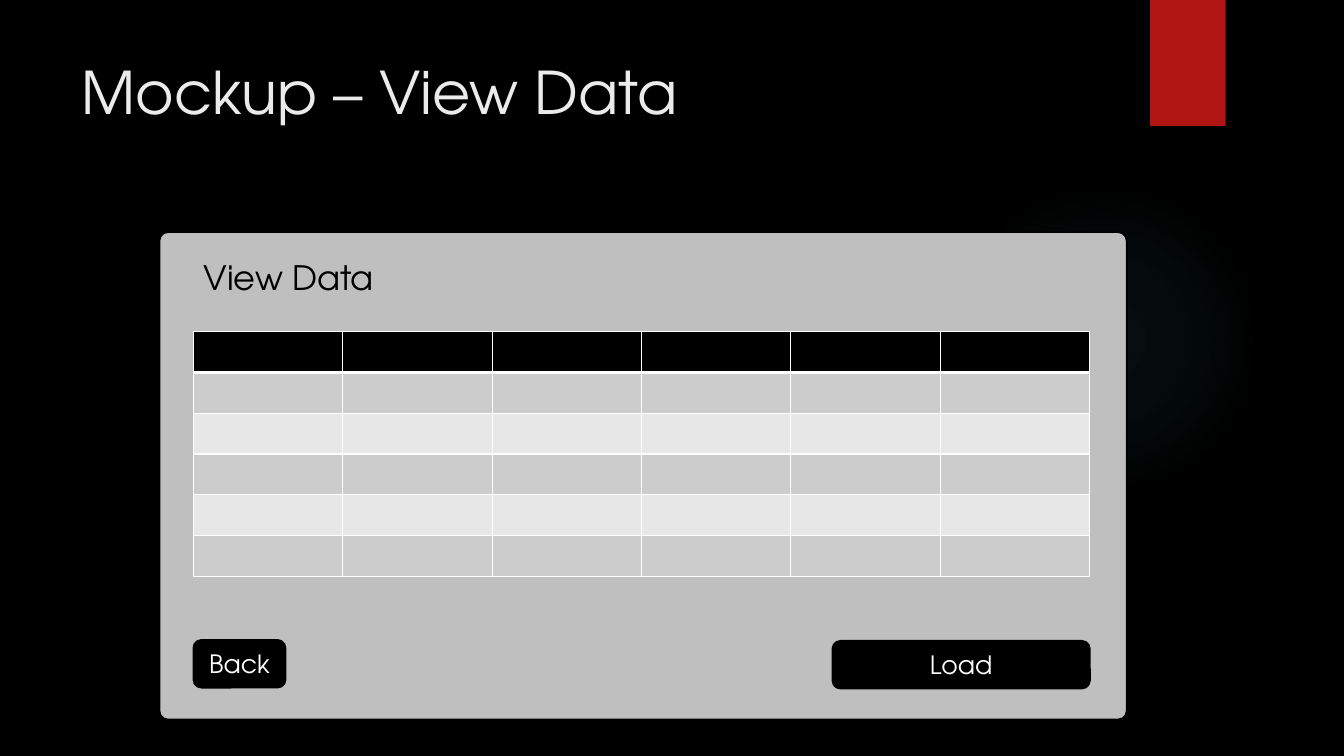
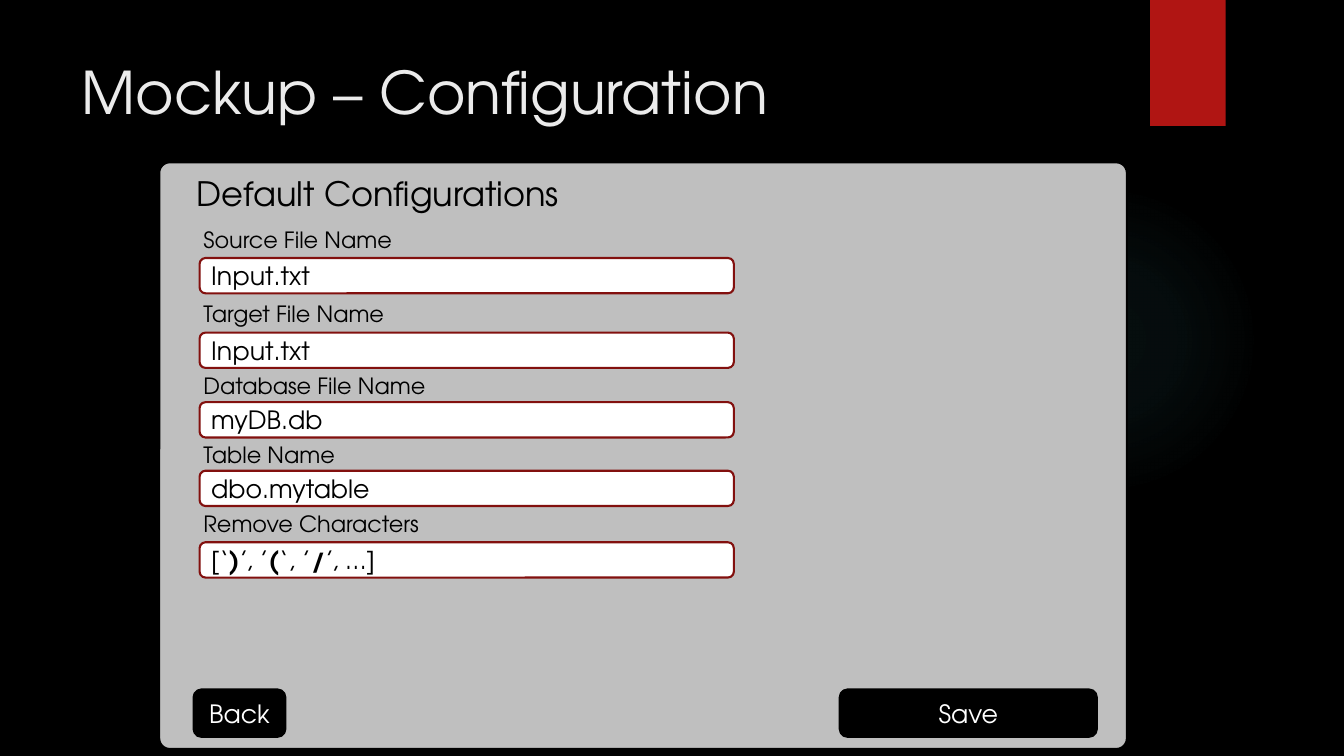
import pptx
import pptx.util
import pptx.oxml
import pptx.oxml.ns
import pptx.dml.color
import pptx.enum.shapes
import pptx.enum.text
from lxml import etree

RGB = pptx.dml.color.RGBColor
SHAPE = pptx.enum.shapes.MSO_SHAPE
ANCHOR = pptx.enum.text.MSO_ANCHOR
ALIGN = pptx.enum.text.PP_ALIGN
qn = pptx.oxml.ns.qn

BLACK = RGB(0x00, 0x00, 0x00)
WHITE = RGB(0xFF, 0xFF, 0xFF)
TITLE_GREY = RGB(0xEB, 0xEB, 0xEB)
PANEL_GREY = RGB(0xBF, 0xBF, 0xBF)
BAND_RED = RGB(0xB0, 0x15, 0x13)
FIELD_RED = RGB(0x82, 0x10, 0x0E)
ROW_DARK = RGB(0xCC, 0xCC, 0xCC)
ROW_LIGHT = RGB(0xE7, 0xE7, 0xE7)
GLOW_TEAL = RGB(0x50, 0xB9, 0xC1)
FONT = "TeX Gyre Adventor"

WIDTH = pptx.util.Inches(13.33)
HEIGHT = pptx.util.Inches(7.5)
LEFT = 14.4         # left edge of the content in a panel
BUTTON_HEIGHT = 6.27


def place(x, y, w, h):
    """Turn a place on a grid of 100 columns and 100 rows into lengths."""
    return (int(WIDTH * x / 100), int(HEIGHT * y / 100),
            int(WIDTH * w / 100), int(HEIGHT * h / 100))


def write(tf, text, size=18, color=BLACK, align=ALIGN.LEFT, anchor=ANCHOR.TOP):
    """Write text, or a list of (text, bold) runs, into a text frame."""
    tf.word_wrap = True
    tf.vertical_anchor = anchor
    p = tf.paragraphs[0]
    p.alignment = align
    runs = [(text, False)] if isinstance(text, str) else text
    for words, bold in runs:
        r = p.add_run()
        r.text = words
        r.font.name = FONT
        r.font.size = pptx.util.Pt(size)
        r.font.bold = bold
        r.font.color.rgb = color


def add_text(s, text, at, **fmt):
    """Add a text box."""
    write(s.shapes.add_textbox(*place(*at)).text_frame, text, **fmt)


def add_box(s, kind, at, fill=None, line=None, round_share=None):
    """Add a preset shape without a shadow."""
    sp = s.shapes.add_shape(kind, *place(*at))
    sp.shadow.inherit = False
    if fill is not None:
        sp.fill.solid()
        sp.fill.fore_color.rgb = fill
    if line is None:
        sp.line.fill.background()
    else:
        sp.line.color.rgb = line
        sp.line.width = pptx.util.Pt(1.5)
    if round_share is not None:
        sp.adjustments[0] = round_share
    return sp


def add_glow(s):
    """Add the faint round glow that fades outwards."""
    sp = add_box(s, SHAPE.OVAL, (70.58, 24.4, 23.1, 41.07))
    stops = "".join(
        f'<a:gs pos="{pos}000"><a:srgbClr val="{GLOW_TEAL}">'
        f'<a:alpha val="{alpha}000"/></a:srgbClr></a:gs>'
        for pos, alpha in ((0, 7), (36, 6), (69, 0)))
    grad = pptx.oxml.parse_xml(
        f'<a:gradFill {pptx.oxml.ns.nsdecls("a")}><a:gsLst>{stops}</a:gsLst>'
        '<a:path path="circle"><a:fillToRect l="50000" t="50000" r="50000" '
        'b="50000"/></a:path></a:gradFill>')
    sp.element.spPr.find(qn("a:prstGeom")).addnext(grad)


def add_slide(prs, title):
    """Add a slide with the shared background, glow, band and title."""
    s = prs.slides.add_slide(prs.slide_layouts[6])
    s.background.fill.solid()
    s.background.fill.fore_color.rgb = BLACK
    add_glow(s)
    add_box(s, SHAPE.RECTANGLE, (85.58, 0, 5.62, 16.67), BAND_RED)
    add_text(s, title, (5.33, 6.67, 77.18, 20.4), size=42, color=TITLE_GREY)
    return s


def add_panel(s, y, h):
    """Add the grey window of a mockup."""
    add_box(s, SHAPE.ROUNDED_RECTANGLE, (11.85, y, 72, h), PANEL_GREY, BLACK,
            round_share=0.018)


def add_button(s, text, x, y, w):
    """Add a black button."""
    sp = add_box(s, SHAPE.ROUNDED_RECTANGLE, (x, y, w, BUTTON_HEIGHT),
                 BLACK, BLACK)
    write(sp.text_frame, text, color=WHITE, align=ALIGN.CENTER,
          anchor=ANCHOR.MIDDLE)


def add_field(s, label, value, label_y, input_y):
    """Add a label and the input below it."""
    add_text(s, label, (LEFT, label_y, 22.13, 4.93), size=16)
    sp = add_box(s, SHAPE.ROUNDED_RECTANGLE, (14.85, input_y, 39.75, 4.67),
                 WHITE, FIELD_RED)
    write(sp.text_frame, value, anchor=ANCHOR.MIDDLE)


def set_borders(cell, **widths):
    """Give a cell white borders, with widths in points by side."""
    tc_pr = cell._tc.get_or_add_tcPr()
    for i, side in enumerate("LRTB"):
        ln = etree.Element(qn(f"a:ln{side}"),
                           w=str(pptx.util.Pt(widths.get(side, 1))))
        fill = etree.SubElement(ln, qn("a:solidFill"))
        etree.SubElement(fill, qn("a:srgbClr"), val=str(WHITE))
        tc_pr.insert(i, ln)


def add_grid(s, at, rows, cols):
    """Add an empty table with a black header and banded rows."""
    x, y, w, h = place(*at)
    table = s.shapes.add_table(rows, cols, x, y, w, h).table
    for i in range(rows):
        color = BLACK if i == 0 else ROW_DARK if i % 2 else ROW_LIGHT
        for j in range(cols):
            cell = table.cell(i, j)
            cell.margin_top = cell.margin_bottom = 0
            cell.fill.solid()
            cell.fill.fore_color.rgb = color
            set_borders(cell, B=3 if i == 0 else 1, T=3 if i == 1 else 1)


def view_data(prs):
    """Build the mockup of the data view."""
    s = add_slide(prs, "Mockup – View Data")
    add_panel(s, 30.67, 64.53)
    add_text(s, "View Data", (LEFT, 33.33, 15.98, 6.67), size=24)
    add_grid(s, (LEFT, 43.87, 66.68, 32.4), rows=6, cols=6)
    add_button(s, "Load", 61.95, 84.8, 19.13)
    add_button(s, "Back", LEFT, 84.67, 6.83)


def configuration(prs):
    """Build the mockup of the configuration form."""
    s = add_slide(prs, "Mockup – Configuration")
    add_panel(s, 21.47, 77.6)
    add_text(s, "Default Configurations", (13.88, 22.27, 40.73, 6.67), size=24)
    add_button(s, "Save", 62.48, 91.2, 19.13)
    add_button(s, "Back", LEFT, 91.2, 6.83)
    characters = [("[‘", False), (")", True), ("’, ’", False), ("(", True),
                  ("‘, ’", False), ("/", True), ("’, …]", False)]
    for field in (("Source File Name", "Input.txt", 29.2, 34.13),
                  ("Target File Name", "Input.txt", 39.07, 44),
                  ("Database File Name", "myDB.db", 48.53, 53.2),
                  ("Table Name", "dbo.mytable", 57.73, 62.27),
                  ("Remove Characters", characters, 66.8, 71.73)):
        add_field(s, *field)


def main():
    """Build and save the presentation."""
    prs = pptx.Presentation()
    prs.slide_width, prs.slide_height = WIDTH, HEIGHT
    view_data(prs)
    configuration(prs)
    prs.save("out.pptx")


main()
